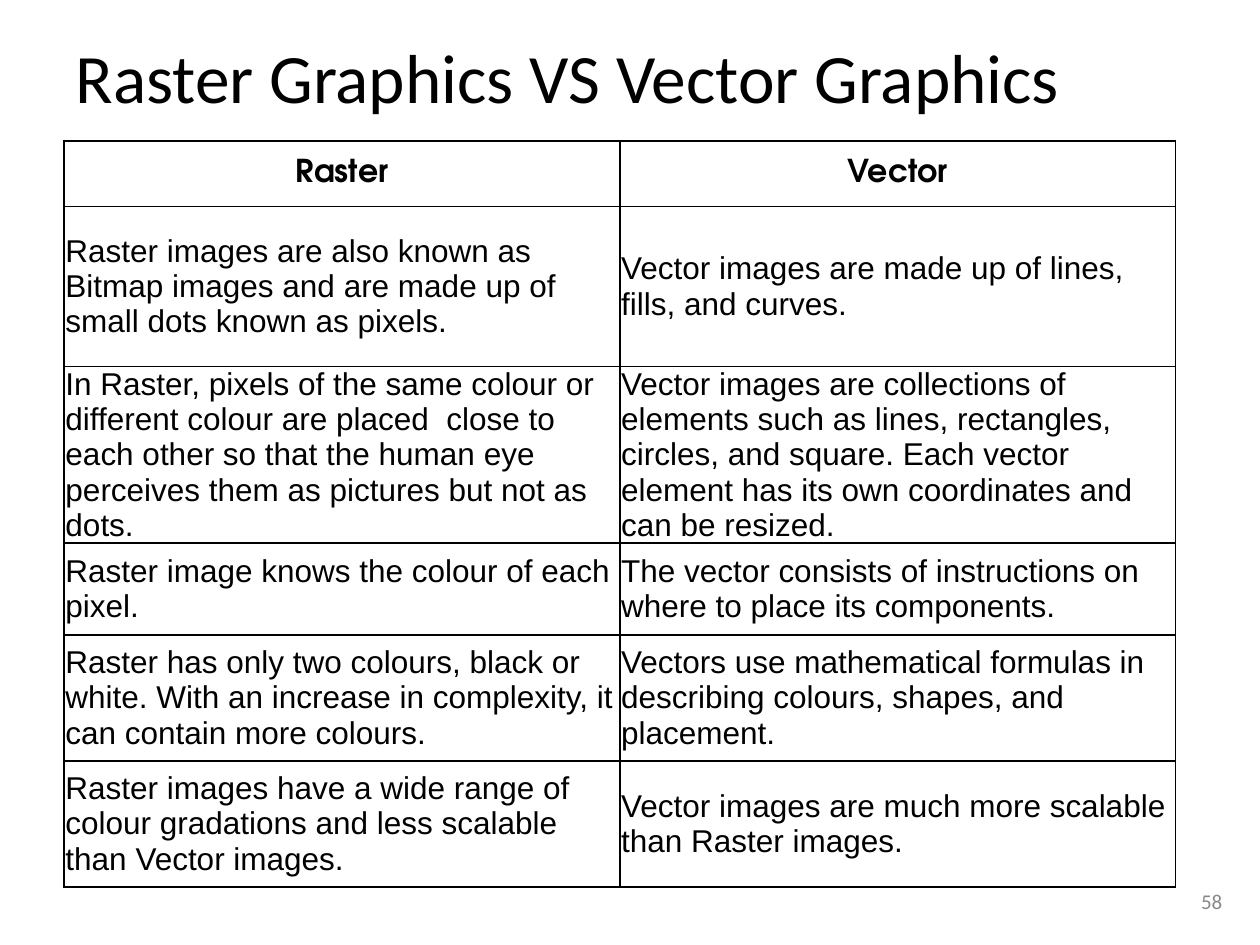
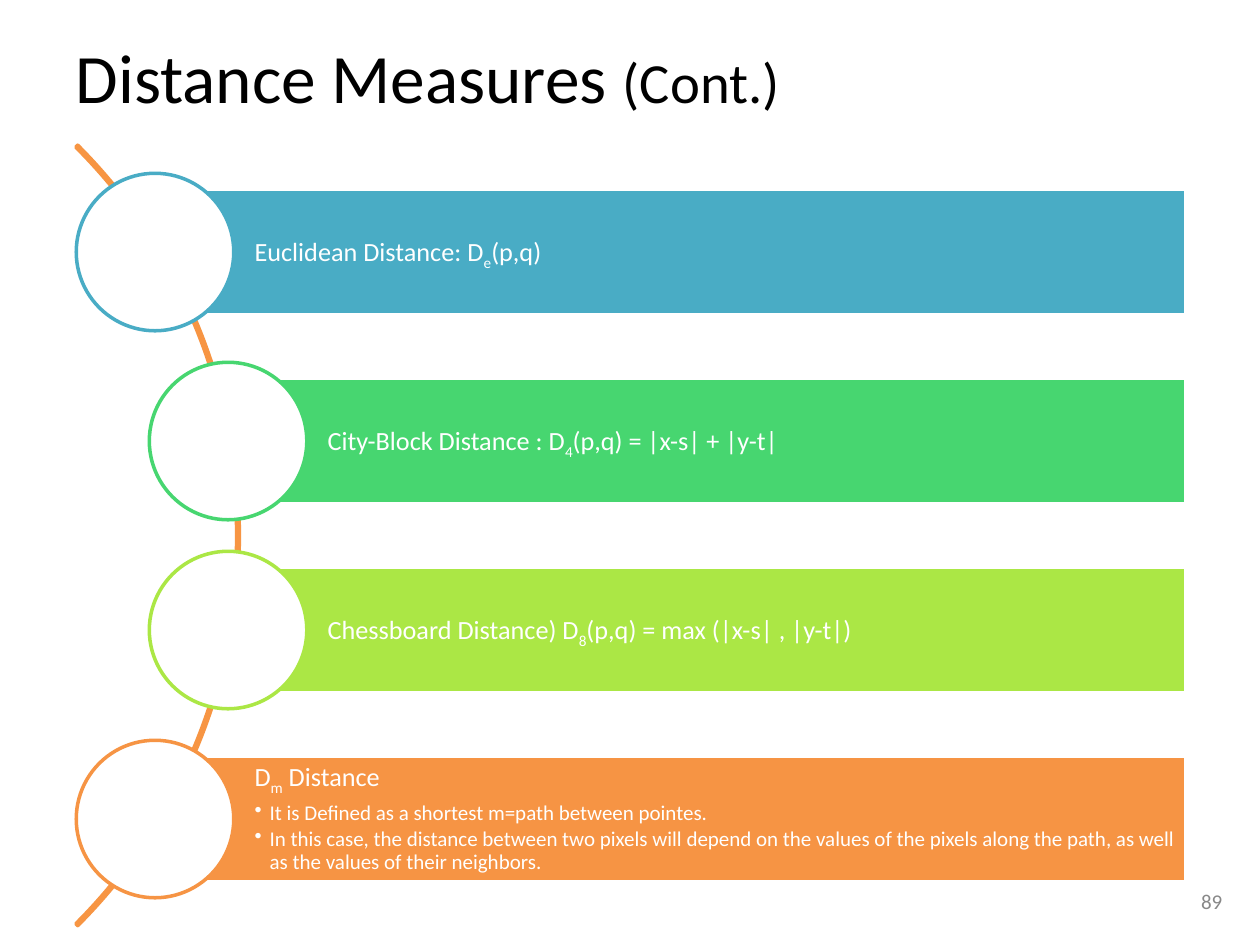
from lxml import etree
from pptx import Presentation
from pptx.dml.color import RGBColor
from pptx.enum.shapes import MSO_SHAPE
from pptx.enum.text import MSO_ANCHOR, MSO_AUTO_SIZE, PP_ALIGN
from pptx.oxml.ns import qn
from pptx.util import Emu, Pt

MIDDLE, TOP = MSO_ANCHOR.MIDDLE, MSO_ANCHOR.TOP
LEFT, CENTER, RIGHT = PP_ALIGN.LEFT, PP_ALIGN.CENTER, PP_ALIGN.RIGHT
NO_AUTOFIT = MSO_AUTO_SIZE.NONE
RECT, OVAL, BLOCK_ARC = MSO_SHAPE.RECTANGLE, MSO_SHAPE.OVAL, MSO_SHAPE.BLOCK_ARC

TITLE_ONLY = 5
EMU_PER_PX = 9144  # 100 px to the inch
BODY_FONT, TABLE_FONT, HEADER_FONT = "Calibri", "Arial", "TeX Gyre Adventor"
COLORS = {
    "ink": "000000",
    "paper": "FFFFFF",
    "number": "888888",
    "arc": "F79543",
    "teal": "49ACC5",
    "green": "47D670",
    "lime": "ABE745",
    "orange": "F69444",
}

COMPARISON = [
    ("Raster", "Vector"),
    ("Raster images are also known as Bitmap images and are made up of small dots known as pixels.",
     "Vector images are made up of lines, fills, and curves."),
    ("In Raster, pixels of the same colour or different colour are placed  close to each other "
     "so that the human eye perceives them as pictures but not as dots.",
     "Vector images are collections of elements such as lines, rectangles, circles, and square. "
     "Each vector element has its own coordinates and can be resized."),
    ("Raster image knows the colour of each pixel.",
     "The vector consists of instructions on where to place its components."),
    ("Raster has only two colours, black or white. With an increase in complexity, "
     "it can contain more colours.",
     "Vectors use mathematical formulas in describing colours, shapes, and placement."),
    ("Raster images have a wide range of colour gradations and less scalable than Vector images.",
     "Vector images are much more scalable than Raster images."),
]
ROW_HEIGHTS = [52, 127, 133, 73, 100, 100]

# Colour, indent of the bar, label as (base, subscript, rest), bullets
MEASURES = [
    ("teal", 62, ("Euclidean Distance: D", "e", "(p,q)"), []),
    ("green", 120, ("City-Block Distance : D", "4", "(p,q) = |x-s| + |y-t|"), []),
    ("lime", 120, ("Chessboard Distance) D", "8", "(p,q) = max (|x-s| , |y-t|)"), []),
    ("orange", 62, ("D", "m", " Distance"), [
        "It is Defined as a shortest m=path between pointes.",
        "In this case, the distance between two pixels will depend on the values of the pixels "
        "along the path, as well as the values of their neighbors.",
    ]),
]


def px(length):
    return Emu(round(length * EMU_PER_PX))


def rgb(name):
    return RGBColor.from_string(COLORS[name])


def style(font, size, color, face=BODY_FONT, bold=False):
    font.name, font.size, font.bold = face, Pt(size), bold
    font.color.rgb = rgb(color)


def set_frame(frame, insets, anchor=MIDDLE):
    """Wrap the text and set left, top, right and bottom insets in px."""
    frame.word_wrap = True
    frame.auto_size = NO_AUTOFIT
    frame.vertical_anchor = anchor
    (frame.margin_left, frame.margin_top,
     frame.margin_right, frame.margin_bottom) = map(px, insets)


def add_shape(slide, kind, box, fill, line):
    shape = slide.shapes.add_shape(kind, *map(px, box))
    shape.shadow.inherit = False
    if fill:
        shape.fill.solid()
        shape.fill.fore_color.rgb = rgb(fill)
    else:
        shape.fill.background()
    shape.line.color.rgb = rgb(line)
    shape.line.width = Pt(2)
    return shape


def add_titled_slide(prs, title_parts, number):
    """Add a slide with its title, as (text, size) parts, and its page number."""
    slide = prs.slides.add_slide(prs.slide_layouts[TITLE_ONLY])
    title = slide.shapes.title
    title.left, title.top, title.width, title.height = map(px, (50, 30, 900, 61))
    set_frame(title.text_frame, (10, 5, 10, 5))
    heading = title.text_frame.paragraphs[0]
    heading.alignment = LEFT
    for text, size in title_parts:
        run = heading.add_run()
        run.text = text
        style(run.font, size, "ink")

    footer = slide.shapes.add_textbox(*map(px, (747, 695, 233, 40))).text_frame
    set_frame(footer, (10, 5, 10, 5))
    footer.text = str(number)
    footer.paragraphs[0].alignment = RIGHT
    style(footer.paragraphs[0].runs[0].font, 12, "number")
    return slide


def add_cell_borders(cell):
    properties = cell._tc.get_or_add_tcPr()
    for side in ("a:lnL", "a:lnR", "a:lnT", "a:lnB"):
        border = etree.SubElement(properties, qn(side), w=str(Pt(1)))
        fill = etree.SubElement(border, qn("a:solidFill"))
        etree.SubElement(fill, qn("a:srgbClr"), val=COLORS["ink"])


def add_comparison_table(slide, left, top, width):
    columns = len(COMPARISON[0])
    table = slide.shapes.add_table(
        len(COMPARISON), columns, px(left), px(top), px(width), px(sum(ROW_HEIGHTS))).table
    table.first_row = table.horz_banding = False
    for column in table.columns:
        column.width = px(width / columns)
    for r, (texts, height) in enumerate(zip(COMPARISON, ROW_HEIGHTS)):
        table.rows[r].height = px(height)
        is_header = r == 0
        for c, text in enumerate(texts):
            cell = table.cell(r, c)
            add_cell_borders(cell)
            cell.fill.solid()
            cell.fill.fore_color.rgb = rgb("paper")
            cell.vertical_anchor = MIDDLE
            cell.margin_left = cell.margin_right = px(1)
            cell.margin_top = cell.margin_bottom = 0
            cell.text_frame.text = text
            paragraph = cell.text_frame.paragraphs[0]
            paragraph.alignment = CENTER if is_header else LEFT
            style(paragraph.runs[0].font, 18, "ink",
                  HEADER_FONT if is_header else TABLE_FONT, is_header)


def add_bullet(frame, text, space_before):
    paragraph = frame.add_paragraph()
    paragraph.text = text
    paragraph.level = 1
    paragraph.alignment = LEFT
    properties = paragraph._p.get_or_add_pPr()
    properties.set("marL", str(px(12)))
    properties.set("indent", str(px(-12)))
    bullet_color = etree.SubElement(properties, qn("a:buClr"))
    etree.SubElement(bullet_color, qn("a:srgbClr"), val=COLORS["paper"])
    etree.SubElement(properties, qn("a:buChar"), char="•")
    paragraph.line_spacing = 0.9
    paragraph.space_before = Pt(space_before)
    style(paragraph.runs[0].font, 12, "paper")


def add_measure(slide, bar_box, color, label, bullets):
    """Draw a bar with its text and a circle centred on the bar's left side."""
    left, top, _, height = bar_box
    bar = add_shape(slide, RECT, bar_box, color, "paper")
    frame = bar.text_frame
    set_frame(frame, (79, 4, 4, 4), TOP if bullets else MIDDLE)
    heading = frame.paragraphs[0]
    heading.alignment = LEFT
    heading.line_spacing = 0.9
    for part, text in enumerate(label):
        run = heading.add_run()
        run.text = text
        style(run.font, 15, "paper")
        if part == 1:
            run._r.get_or_add_rPr().set("baseline", "-25000")
    for i, text in enumerate(bullets):
        add_bullet(frame, text, 1.8 if i else 5.2)

    diameter = 125
    circle_box = (left - diameter / 2, top + (height - diameter) / 2, diameter, diameter)
    add_shape(slide, OVAL, circle_box, "paper", color)


def add_measure_list(slide, left, top, width):
    bar_height, pitch, arc_size = 100, 150, 876
    list_height = pitch * (len(MEASURES) - 1) + bar_height
    arc_box = (left - 747, top + (list_height - arc_size) / 2, arc_size, arc_size)
    arc = add_shape(slide, BLOCK_ARC, arc_box, None, "arc")
    for i, value in enumerate((189, 27, 0.0025)):
        arc.adjustments[i] = value
    for i, (color, indent, label, bullets) in enumerate(MEASURES):
        bar_box = (left + indent, top + i * pitch, width - indent, bar_height)
        add_measure(slide, bar_box, color, label, bullets)


def main():
    prs = Presentation()
    prs.slide_width, prs.slide_height = px(1000), px(750)

    graphics = add_titled_slide(prs, [("Raster Graphics VS Vector Graphics", 39.6)], 58)
    add_comparison_table(graphics, 51, 112, 882)

    distances = add_titled_slide(prs, [("Distance Measures ", 39.6), ("(Cont.)", 32.4)], 89)
    add_measure_list(distances, 61, 150, 880)

    prs.save("out.pptx")


if __name__ == "__main__":
    main()
